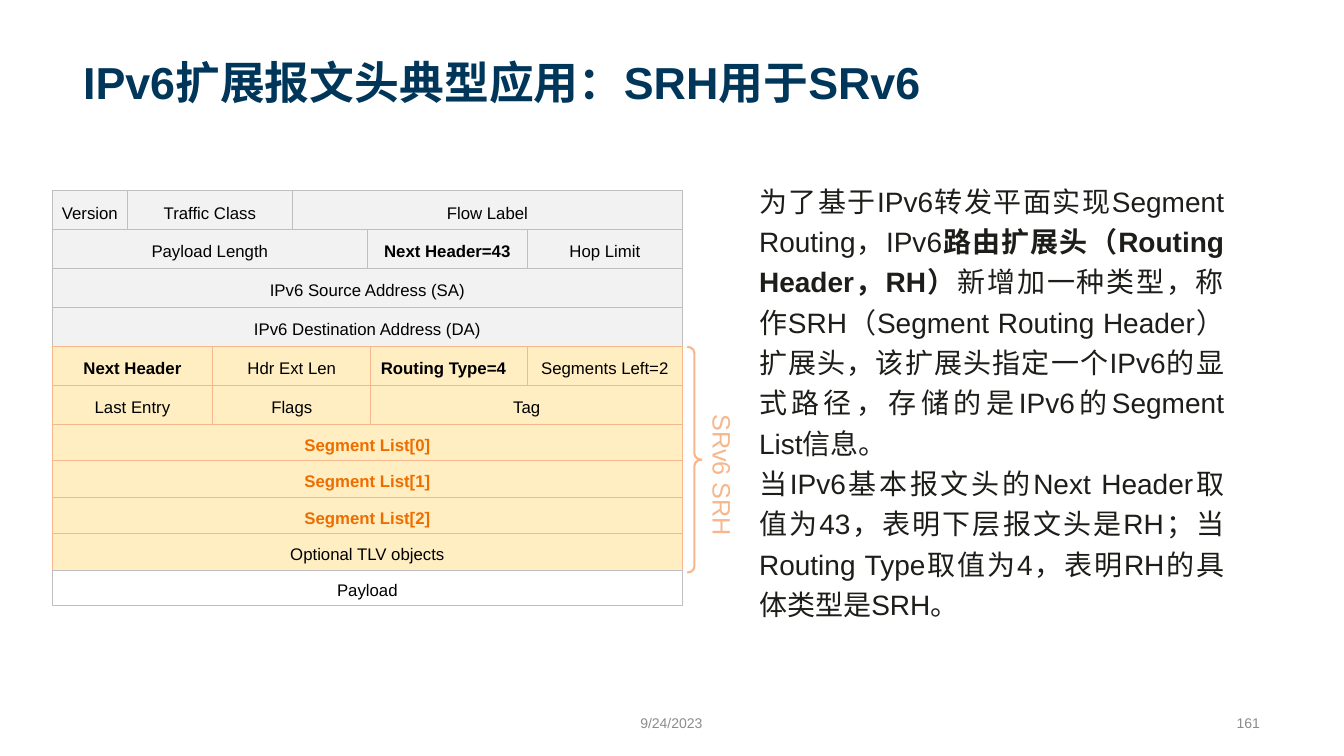
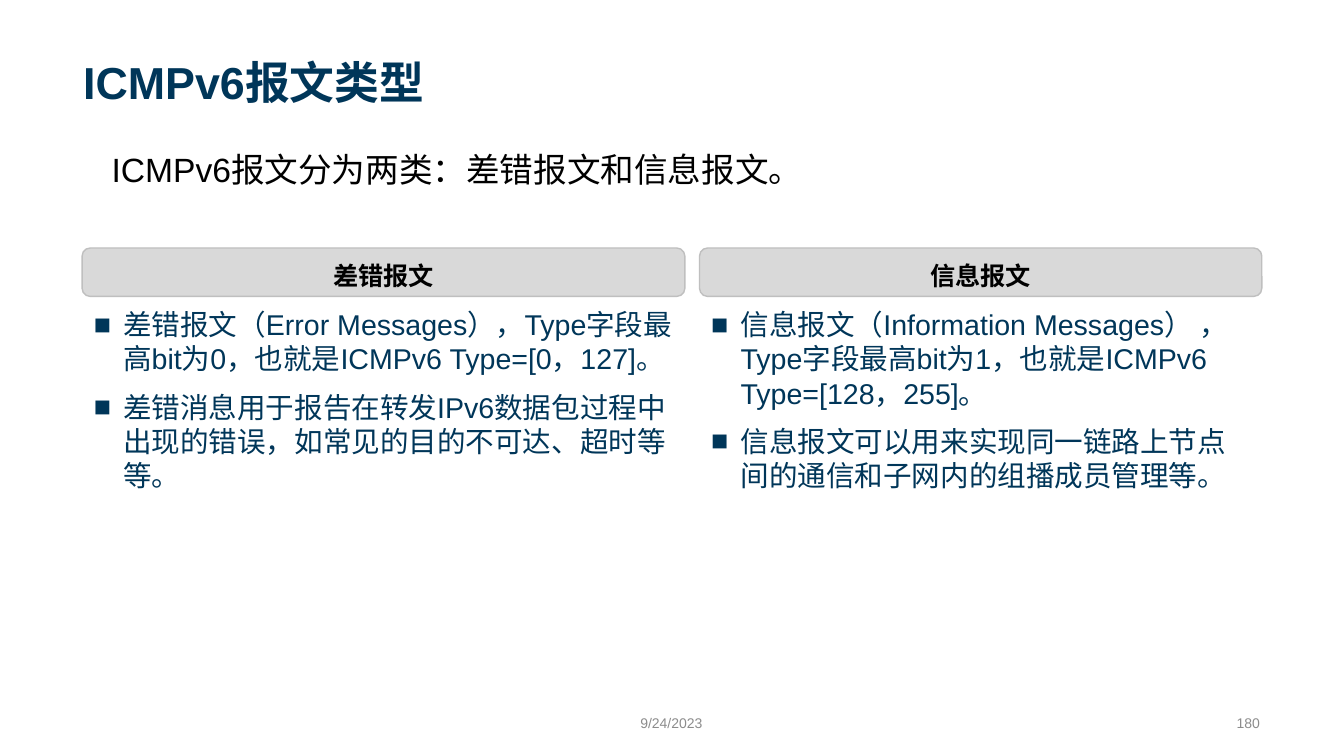
"""Build two slides on the IPv6 SRH extension header and the ICMPv6 message types."""
from lxml import etree
from pptx import Presentation
from pptx.dml.color import RGBColor
from pptx.enum.shapes import MSO_SHAPE
from pptx.enum.text import MSO_ANCHOR, MSO_AUTO_SIZE, PP_ALIGN
from pptx.oxml.ns import qn
from pptx.util import Cm, Pt

NAVY, BLACK, INK, MUTED = "003659", "000000", "1D1D1A", "8C8C8C"
GREY, PALE, BORDER, WHITE = "D9D9D9", "F2F2F2", "BFBFBF", "FFFFFF"
CREAM, PEACH, ORANGE = "FEEEC1", "F6B78C", "ED6D00"


def rgb(value):
    return RGBColor.from_string(value)


def style(frame, size, color, bold=False, align=PP_ALIGN.LEFT,
          anchor=MSO_ANCHOR.TOP, spacing=1.2, gap=0):
    frame.word_wrap = True
    frame.auto_size = MSO_AUTO_SIZE.NONE
    frame.vertical_anchor = anchor
    for index, paragraph in enumerate(frame.paragraphs):
        paragraph.alignment = align
        paragraph.line_spacing = spacing
        paragraph.space_before = Pt(gap if index else 0)
        for run in paragraph.runs:
            run.font.name = "Arial"
            run.font.size = Pt(size)
            run.font.bold = bold
            run.font.color.rgb = rgb(color)


deck = Presentation()
deck.slide_width, deck.slide_height = Cm(33.87), Cm(19.05)
srh_slide = deck.slides.add_slide(deck.slide_layouts[5])
icmp_slide = deck.slides.add_slide(deck.slide_layouts[1])

for slide, heading, number in (
    (srh_slide, "IPv6扩展报文头典型应用：SRH用于SRv6", "161"),
    (icmp_slide, "ICMPv6报文类型", "180"),
):
    title = slide.shapes.title
    title.left, title.top, title.width, title.height = Cm(1.84), Cm(0.36), Cm(30.18), Cm(2.49)
    title.text_frame.text = heading
    style(title.text_frame, 32, NAVY, bold=True, anchor=MSO_ANCHOR.BOTTOM)
    for text, left, width, align in (
        ("9/24/2023", 13.11, 7.62, PP_ALIGN.CENTER),
        (number, 21.59, 10.41, PP_ALIGN.RIGHT),
    ):
        footer = slide.shapes.add_textbox(Cm(left), Cm(17.79), Cm(width), Cm(0.76))
        footer.text_frame.text = text
        style(footer.text_frame, 10, MUTED, align=align, anchor=MSO_ANCHOR.MIDDLE)

explanation = srh_slide.shapes.add_textbox(Cm(18.88), Cm(4.35), Cm(12.22), Cm(11.46)).text_frame
explanation.text = (
    "为了基于IPv6转发平面实现Segment Routing，IPv6\n"
    "当IPv6基本报文头的Next Header取值为43，表明下层报文头是RH；"
    "当Routing Type取值为4，表明RH的具体类型是SRH。"
)
opening = explanation.paragraphs[0]
for part in (
    "路由扩展头（Routing Header，RH）",
    "新增加一种类型，称作SRH（Segment Routing Header）扩展头，"
    "该扩展头指定一个IPv6的显式路径，存储的是IPv6的Segment List信息。",
):
    opening.add_run().text = part
style(explanation, 20, INK, align=PP_ALIGN.JUSTIFY)
opening.runs[1].font.bold = True

PACKET_LEFT, PACKET_RIGHT = 1.32, 17.2
TALL, SHORT, LAST = 0.98, 0.92, 0.88
BASE, EXTENSION, DATA = (PALE, BORDER), (CREAM, PEACH), (WHITE, BORDER)
packet_rows = (
    (TALL, BASE, (3.21, 7.37), ("Version", "Traffic Class", "Flow Label")),
    (TALL, BASE, (9.26, 13.29), ("Payload Length", "Next Header=43", "Hop Limit")),
    (TALL, BASE, (), ("IPv6 Source Address (SA)",)),
    (TALL, BASE, (), ("IPv6 Destination Address (DA)",)),
    (TALL, EXTENSION, (5.36, 9.35, 13.29),
     ("Next Header", "Hdr Ext Len", "Routing Type=4", "Segments Left=2")),
    (TALL, EXTENSION, (5.36, 9.35), ("Last Entry", "Flags", "Tag")),
    (SHORT, EXTENSION, (), ("Segment List[0]",)),
    (SHORT, EXTENSION, (), ("Segment List[1]",)),
    (SHORT, EXTENSION, (), ("Segment List[2]",)),
    (SHORT, EXTENSION, (), ("Optional TLV objects",)),
    (LAST, DATA, (), ("Payload",)),
)
key_fields = ("Next Header=43", "Next Header", "Routing Type=4")
row_top = 4.81
for height, (fill, line), dividers, fields in packet_rows:
    edges = (PACKET_LEFT, *dividers, PACKET_RIGHT)
    for field, left, right in zip(fields, edges, edges[1:]):
        cell = srh_slide.shapes.add_shape(
            MSO_SHAPE.RECTANGLE, Cm(left), Cm(row_top), Cm(right - left), Cm(height))
        cell.shadow.inherit = False
        cell.fill.solid()
        cell.fill.fore_color.rgb = rgb(fill)
        cell.line.color.rgb = rgb(line)
        cell.line.width = Pt(0.75)
        segment = field.startswith("Segment List")
        cell.text_frame.text = field
        style(cell.text_frame, 12, ORANGE if segment else BLACK,
              bold=segment or field in key_fields,
              align=PP_ALIGN.LEFT if field == "Routing Type=4" else PP_ALIGN.CENTER,
              anchor=MSO_ANCHOR.MIDDLE)
        cell.text_frame.word_wrap = field != "Version"
    row_top += height

srh_brace = srh_slide.shapes.add_shape(
    MSO_SHAPE.RIGHT_BRACE, Cm(17.32), Cm(8.74), Cm(0.36), Cm(5.69))
srh_brace.shadow.inherit = False
srh_brace.adjustments[0] = 0.43
srh_brace.fill.background()
srh_brace.line.color.rgb = rgb(PEACH)
srh_brace.line.width = Pt(1.5)

srh_label = srh_slide.shapes.add_textbox(Cm(16.52), Cm(11.45), Cm(3.61), Cm(1.09))
srh_label.rotation = 90
srh_label.text_frame.text = "SRv6 SRH"
style(srh_label.text_frame, 18, PEACH)
srh_label.text_frame.word_wrap = False
srh_label.text_frame.auto_size = MSO_AUTO_SIZE.SHAPE_TO_FIT_TEXT

intro = icmp_slide.placeholders[1]
intro.left, intro.top, intro.width, intro.height = Cm(2.56), Cm(3.43), Cm(31.31), Cm(2.64)
intro.text_frame.text = "ICMPv6报文分为两类：差错报文和信息报文。"
intro_properties = intro.text_frame.paragraphs[0]._p.get_or_add_pPr()
intro_properties.set("marL", "0")
intro_properties.set("indent", "0")
etree.SubElement(intro_properties, qn("a:buNone"))
style(intro.text_frame, 24, BLACK)

for caption, left, width, details in (
    ("差错报文", 2.07, 15.19, (
        "差错报文（Error Messages），Type字段最高bit为0，也就是ICMPv6 Type=[0，127]。",
        "差错消息用于报告在转发IPv6数据包过程中出现的错误，如常见的目的不可达、超时等等。")),
    ("信息报文", 17.63, 14.17, (
        "信息报文（Information Messages） ，Type字段最高bit为1，也就是ICMPv6 Type=[128，255]。",
        "信息报文可以用来实现同一链路上节点间的通信和子网内的组播成员管理等。")),
):
    header = icmp_slide.shapes.add_shape(
        MSO_SHAPE.ROUNDED_RECTANGLE, Cm(left), Cm(6.25), Cm(width), Cm(1.22))
    header.shadow.inherit = False
    header.fill.solid()
    header.fill.fore_color.rgb = rgb(GREY)
    header.line.color.rgb = rgb(BORDER)
    header.line.width = Pt(1)
    caption_frame = header.text_frame
    caption_frame.margin_left = caption_frame.margin_right = 0
    caption_frame.margin_top = caption_frame.margin_bottom = 0
    caption_frame.text = caption
    style(caption_frame, 18, BLACK, bold=True, align=PP_ALIGN.CENTER, anchor=MSO_ANCHOR.MIDDLE)

    panel = icmp_slide.shapes.add_shape(
        MSO_SHAPE.ROUNDED_RECTANGLE, Cm(left), Cm(7.57), Cm(width), Cm(5.05))
    panel.shadow.inherit = False
    panel.adjustments[0] = 0.03
    panel.fill.background()
    panel.line.fill.background()
    panel.text_frame.text = "\n".join(details)
    for paragraph in panel.text_frame.paragraphs:
        properties = paragraph._p.get_or_add_pPr()
        properties.set("marL", str(Cm(0.74)))
        properties.set("indent", str(-Cm(0.74)))
        etree.SubElement(properties, qn("a:buFont")).set("typeface", "Arial")
        etree.SubElement(properties, qn("a:buChar")).set("char", "■")
    style(panel.text_frame, 20.4, NAVY, spacing=1.0, gap=10)

deck.save("out.pptx")
